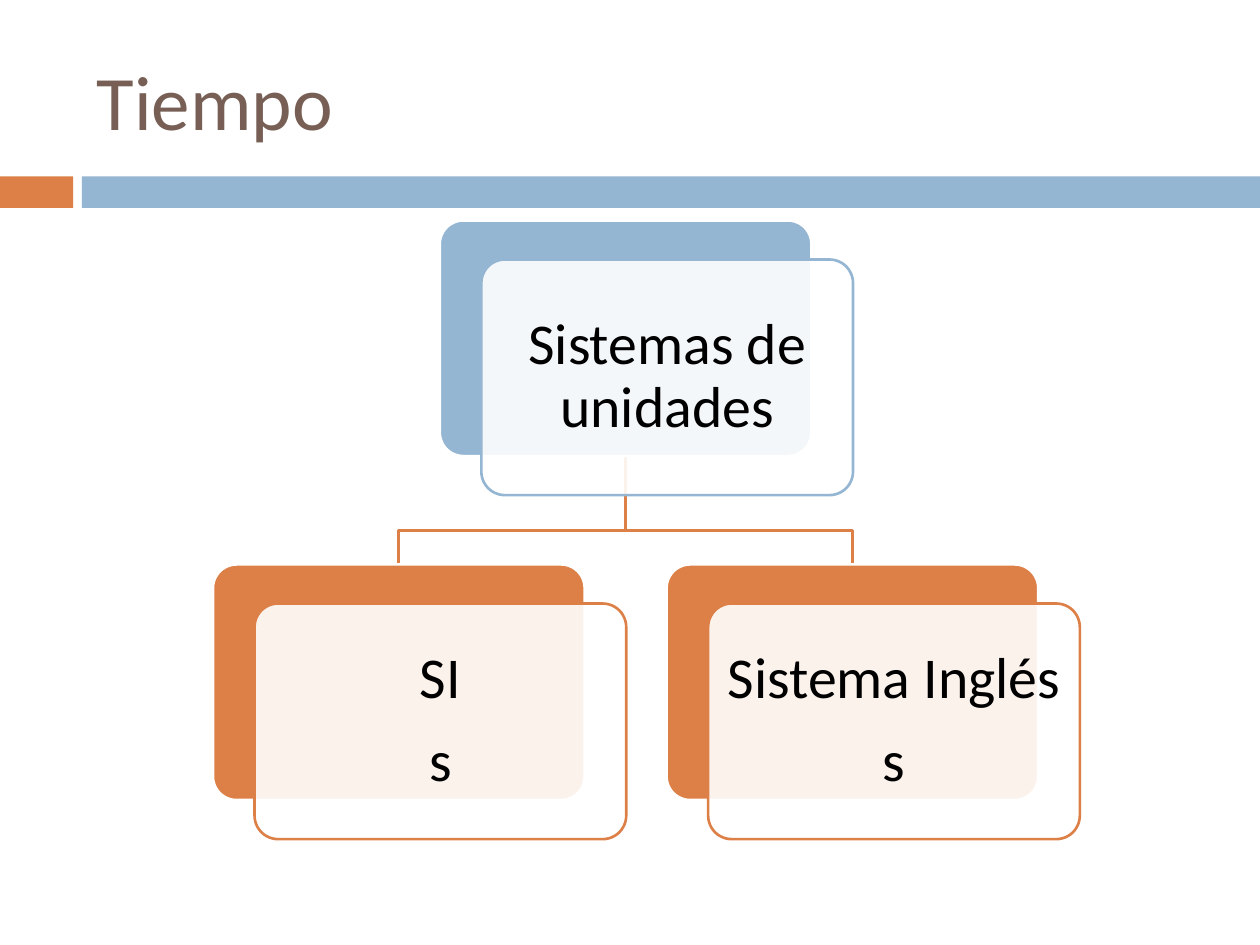
"""Build the slide "Tiempo": a small tree of unit systems."""
from pptx import Presentation, util as u
from pptx.dml.color import RGBColor
from pptx.enum import shapes as sh, text as tx
from pptx.oxml.ns import qn
from lxml import etree

HUES = {"blue": "94B6D2", "rust": "DD8047", "brown": "775F55",
        "white": "FFFFFF", "black": "000000"}
INCH = u.Inches
COL, ROW = 1.8, 2.73
LEFT, TOP = 1.69, 1.75
WIDE, HIGH = 2.95, 1.87
SHIFT, DROP = 0.33, 0.31


def block(kind, x, y, w, h, fill, line=None):
    box = page.shapes.add_shape(kind, INCH(x), INCH(y), INCH(w), INCH(h))
    box.shadow.inherit = False
    box.fill.solid()
    box.fill.fore_color.rgb = RGBColor.from_string(HUES[fill])
    if line:
        box.adjustments[0] = 0.1
        box.line.color.rgb = RGBColor.from_string(HUES[line])
        box.line.width = u.Pt(1.5)
    else:
        box.line.fill.background()
    return box


def style(para, size, hue):
    for run in para.runs:
        run.font.name = "Calibri"
        run.font.size = u.Pt(size)
        run.font.color.rgb = RGBColor.from_string(HUES[hue])


deck = Presentation()
deck.slide_width, deck.slide_height = INCH(10), INCH(7.5)
page = deck.slides.add_slide(deck.slide_layouts[6])

RECT, ROUND = sh.MSO_SHAPE.RECTANGLE, sh.MSO_SHAPE.ROUNDED_RECTANGLE
block(RECT, 0, 1.4, 0.58, 0.25, "rust")
block(RECT, 0.65, 1.4, 9.35, 0.25, "blue")

title = page.shapes.add_textbox(INCH(0.67), INCH(0.25), INCH(8.92), INCH(1.08))
frame = title.text_frame
frame.word_wrap = True
frame.vertical_anchor = tx.MSO_ANCHOR.MIDDLE
frame.text = "Tiempo"
style(frame.paragraphs[0], 44, "brown")

root = LEFT + COL + WIDE / 2
base, bend, leaf = TOP + HIGH, 4.21, TOP + ROW
for end in (root + COL, root - COL):
    path = page.shapes.build_freeform(INCH(root), INCH(base))
    path.add_line_segments([(INCH(x), INCH(y)) for x, y in
                            ((root, bend), (end, bend), (end, leaf))], close=False)
    link = path.convert_to_shape()
    link.shadow.inherit = False
    link.fill.background()
    link.line.color.rgb = RGBColor.from_string(HUES["rust"])
    link.line.width = u.Pt(1.5)

cards = [(1, 0, "blue", "Sistemas de unidades"),
         (0, 1, "rust", "SI\ns"),
         (2, 1, "rust", "Sistema Inglés\ns")]
for col, row, hue, words in cards:
    x, y = LEFT + col * COL, TOP + row * ROW
    block(ROUND, x, y, WIDE, HIGH, hue, "white")
    card = block(ROUND, x + SHIFT, y + DROP, WIDE, HIGH, "white", hue)
    tint = card.fill._xPr.find(qn("a:solidFill"))[0]
    etree.SubElement(tint, qn("a:alpha"), val="90000")
    frame = card.text_frame
    frame.word_wrap = True
    frame.vertical_anchor = tx.MSO_ANCHOR.MIDDLE
    frame.margin_left = frame.margin_right = INCH(0.08)
    frame.margin_top = frame.margin_bottom = INCH(0.08)
    frame.text = words
    for para in frame.paragraphs:
        para.alignment = tx.PP_ALIGN.CENTER
        para.line_spacing = 0.9
        para.space_after = u.Pt(11.55)
        style(para, 33, "black")

deck.save("out.pptx")
